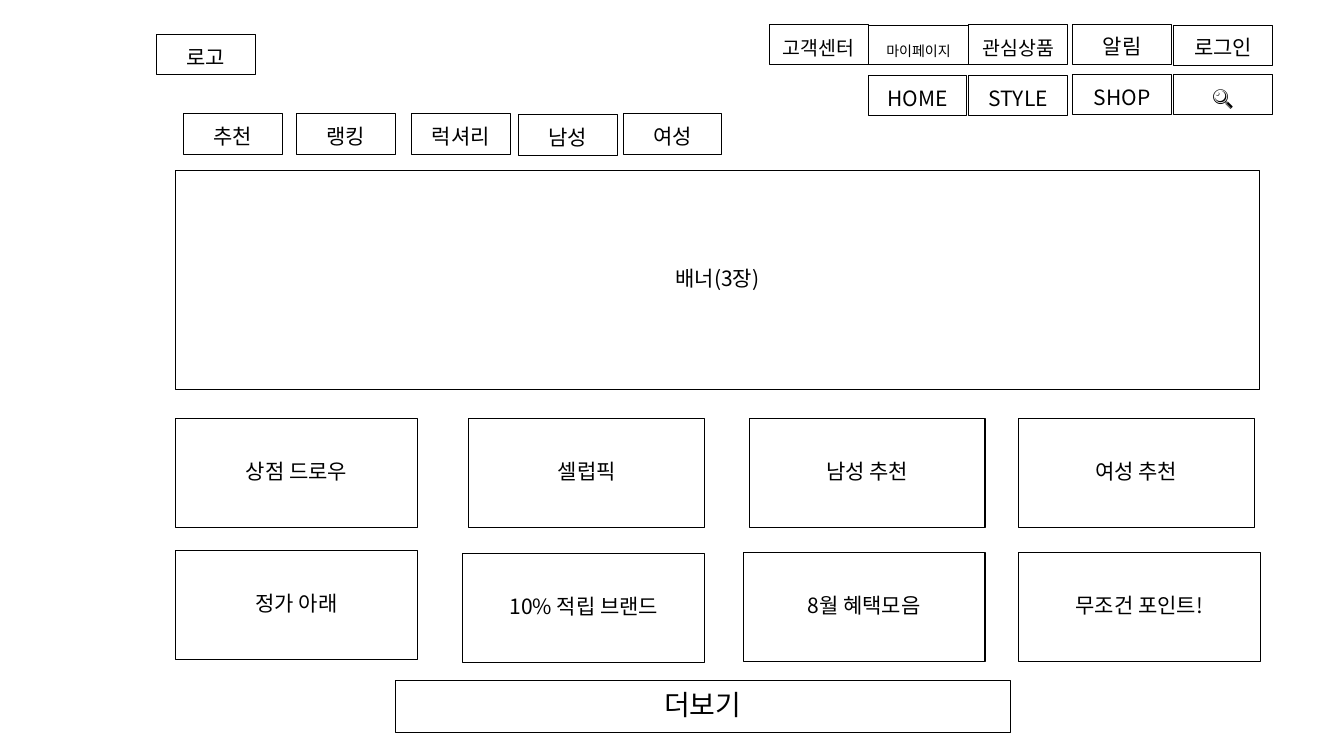
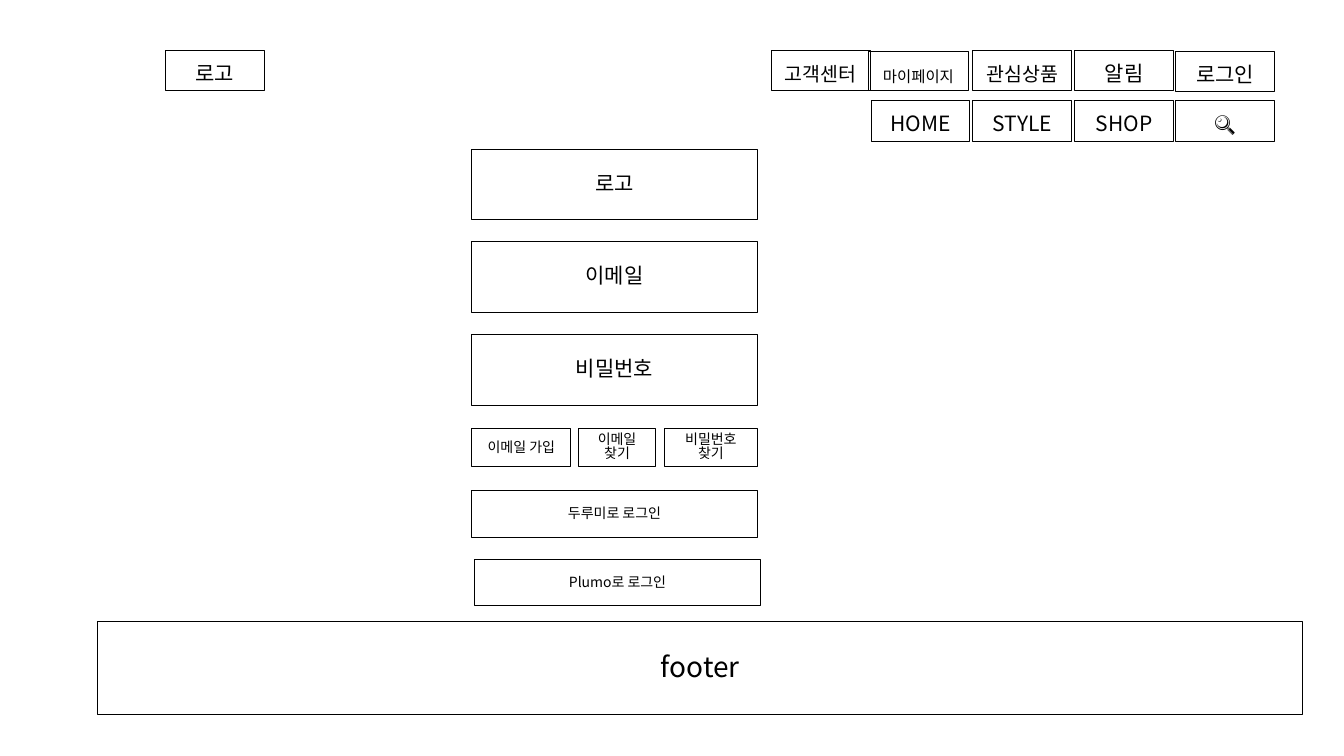
import pptx
import pptx.util
import pptx.dml.color
import pptx.enum.shapes
import pptx.enum.text
import pptx.oxml.ns
import lxml.etree

COLORS = {"ink": "000000", "paper": "FFFFFF"}
FONT = "Noto Sans CJK KR"
BODY, SNUG, SMALL, LARGE = 15, 13.9, 10, 20
BUTTON_W, BUTTON_H = 0.98, 0.4
MY_PAGE_W, MY_PAGE_H = 1, 0.39

MEMBER_LINKS = [("고객센터", SNUG), ("마이페이지", None), ("관심상품", SNUG),
                ("알림", BODY), ("로그인", BODY)]
MENU = ["HOME", "STYLE", "SHOP", "🔍"]

HOME_HEADER = {
    "logo": (1.55, 0.34),
    "member_lefts": [7.63, 8.61, 9.61, 10.64, 11.64],
    "member_tops": [0.24, 0.25, 0.24, 0.24, 0.25],
    "menu_lefts": [8.61, 9.61, 10.64, 11.64],
    "menu_tops": [0.75, 0.75, 0.74, 0.74],
    "my_page_size": 10,
}
LOGIN_HEADER = {
    "logo": (1.64, 0.5),
    "member_lefts": [7.65, 8.61, 9.65, 10.66, 11.66],
    "member_tops": [0.5, 0.51, 0.5, 0.5, 0.51],
    "menu_lefts": [8.64, 9.65, 10.66, 11.66],
    "menu_tops": [1, 1, 1, 1],
    "my_page_size": 11,
}

CATEGORIES = [("추천", 1.82, 1.13), ("랭킹", 2.94, 1.13), ("럭셔리", 4.08, 1.13),
              ("남성", 5.14, 1.14), ("여성", 6.18, 1.13)]
BANNER = ("배너(3장)", 1.74, 1.69, 10.75, 2.17)
CARD_H = 1.08
CARDS = [
    ("상점 드로우", 1.74, 4.15, 2.4), ("셀럽픽", 4.65, 4.15, 2.34),
    ("남성 추천", 7.43, 4.15, 2.34), ("여성 추천", 10.1, 4.15, 2.34),
    ("정가 아래", 1.74, 5.46, 2.4), ("10% 적립 브랜드", 4.59, 5.49, 2.4),
    ("8월 혜택모음", 7.37, 5.48, 2.4), ("무조건 포인트!", 10.1, 5.48, 2.4),
]
MORE = ("더보기", 3.92, 6.75, 6.1, 0.52)

FORM_LEFT, FORM_TOP, FORM_W, FIELD_H, FIELD_STEP = 4.68, 1.48, 2.83, 0.7, 0.92
FIELDS = ["로고", "이메일", "비밀번호"]
HELP_TOP, HELP_H = 4.25, 0.38
HELP_LINKS = [("이메일 가입", 4.68, 0.98, 0.9), ("이메일 찾기", 5.74, 0.76, 0.8),
              ("비밀번호 찾기", 6.59, 0.92, 0.8)]
SOCIAL_H = 0.46
SOCIAL_LOGINS = [("두루미로 로그인", 4.68, 4.87), ("Plumo로 로그인", 4.71, 5.55)]
FOOTER = ("footer", 0.97, 6.17, 11.95, 0.92)

MIDDLE = pptx.enum.text.MSO_ANCHOR.MIDDLE
BOTTOM = pptx.enum.text.MSO_ANCHOR.BOTTOM
Inches = pptx.util.Inches


def rgb(name):
    return pptx.dml.color.RGBColor.from_string(COLORS[name])


def add_box(slide, label, left, top, width, height, size=BODY, anchor=MIDDLE, spacing=0.9):
    box = slide.shapes.add_shape(
        pptx.enum.shapes.MSO_SHAPE.RECTANGLE,
        Inches(left), Inches(top), Inches(width), Inches(height))
    box.shadow.inherit = False
    box.fill.background()
    box.line.color.rgb = rgb("ink")
    box.line.width = pptx.util.Pt(0.75)
    frame = box.text_frame
    frame.word_wrap = True
    frame.vertical_anchor = anchor
    paragraph = frame.paragraphs[0]
    paragraph.alignment = pptx.enum.text.PP_ALIGN.CENTER
    paragraph.line_spacing = spacing
    run = paragraph.add_run()
    run.text = label
    run.font.size = pptx.util.Pt(size)
    run.font.name = FONT
    run.font.color.rgb = rgb("ink")
    east_asian = lxml.etree.SubElement(run.font._element, pptx.oxml.ns.qn("a:ea"))
    east_asian.set("typeface", FONT)


def add_button(slide, label, left, top, size=BODY, width=BUTTON_W, height=BUTTON_H):
    add_box(slide, label, left, top, width, height, size, BOTTOM)


def add_page(header):
    slide = deck.slides.add_slide(deck.slide_layouts[6])
    slide.background.fill.solid()
    slide.background.fill.fore_color.rgb = rgb("paper")
    add_button(slide, "로고", *header["logo"])
    for (label, size), left, top in zip(MEMBER_LINKS, header["member_lefts"], header["member_tops"]):
        if size is None:
            add_button(slide, label, left, top, header["my_page_size"], MY_PAGE_W, MY_PAGE_H)
        else:
            add_button(slide, label, left, top, size)
    for label, left, top in zip(MENU, header["menu_lefts"], header["menu_tops"]):
        add_button(slide, label, left, top)
    return slide


deck = pptx.Presentation()
deck.slide_width, deck.slide_height = Inches(13.33), Inches(7.5)

home = add_page(HOME_HEADER)
for category in CATEGORIES:
    add_button(home, *category)
add_box(home, *BANNER)
for card in CARDS:
    add_box(home, *card, CARD_H)
add_box(home, *MORE, LARGE)

login = add_page(LOGIN_HEADER)
for row, label in enumerate(FIELDS):
    add_box(login, label, FORM_LEFT, FORM_TOP + row * FIELD_STEP, FORM_W, FIELD_H)
for label, left, width, spacing in HELP_LINKS:
    add_box(login, label, left, HELP_TOP, width, HELP_H, SMALL, spacing=spacing)
for label, left, top in SOCIAL_LOGINS:
    add_box(login, label, left, top, FORM_W, SOCIAL_H, SMALL)
add_box(login, *FOOTER, LARGE)

deck.save("out.pptx")
